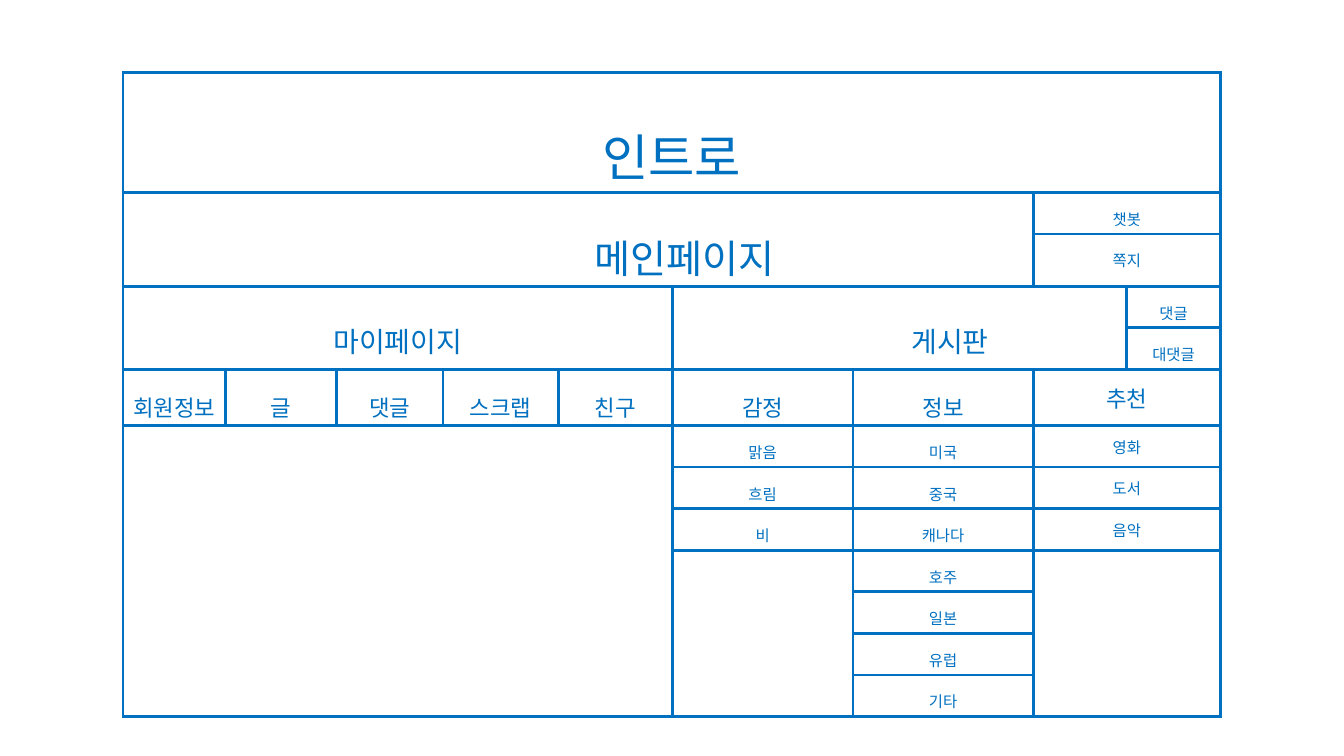
from dataclasses import dataclass

from lxml import etree
from pptx import Presentation, util as u
from pptx.dml.color import RGBColor
from pptx.enum import text
from pptx.oxml.ns import qn


@dataclass(frozen=True)
class Theme:
    font: str = "Noto Sans CJK KR"
    blue: str = "0070C0"
    white: str = "FFFFFF"
    border: float = 2.25
    intro: int = 36
    main: int = 28
    section: int = 20
    menu: int = 16
    item: int = 11
    spacing: float = 1.6


THEME = Theme()
COLUMNS = [2.59, 2.79, 2.69, 2.91, 2.88, 4.55, 4.55, 2.36, 2.36]
ROWS = [2.46] + [1.05] * 4 + [1.42] + [1.05] * 7
MENU_ROW = 5


def add_borders(cell):
    """Draw all four edges of a cell, ahead of its fill."""
    properties = cell._tc.get_or_add_tcPr()
    for index, edge in enumerate(("lnL", "lnR", "lnT", "lnB")):
        line = etree.Element(qn("a:" + edge), w=str(u.Pt(THEME.border)))
        fill = etree.SubElement(line, qn("a:solidFill"))
        etree.SubElement(fill, qn("a:srgbClr"), val=THEME.blue)
        properties.insert(index, line)


def style_cell(cell):
    cell.fill.solid()
    cell.fill.fore_color.rgb = RGBColor.from_string(THEME.white)
    cell.margin_left = cell.margin_right = u.Cm(0.16)
    cell.margin_top = cell.margin_bottom = u.Cm(0.04)
    add_borders(cell)


def write(cell, label, size, middle=False, spacing=THEME.spacing, indent=0):
    if middle:
        cell.vertical_anchor = text.MSO_ANCHOR.MIDDLE
    paragraph = cell.text_frame.paragraphs[0]
    paragraph.text = label
    paragraph.alignment = text.PP_ALIGN.CENTER
    paragraph.line_spacing = spacing
    font = paragraph.font
    font.size = u.Pt(size)
    font.color.rgb = RGBColor.from_string(THEME.blue)
    font.name = THEME.font
    # Paragraph indent, and the East Asian typeface for Korean glyphs
    properties = paragraph._p.pPr
    if indent:
        properties.set("marL", str(u.Cm(indent)))
        properties.set("indent", "0")
    latin = properties.find(".//" + qn("a:latin"))
    latin.addnext(etree.Element(qn("a:ea"), typeface=THEME.font))


def add_sitemap(slide, left, top, width, height):
    frame = slide.shapes.add_table(len(ROWS), len(COLUMNS), u.Cm(left),
                                   u.Cm(top), u.Cm(width), u.Cm(height))
    sitemap = frame.table
    sitemap.first_row = sitemap.horz_banding = False
    for column, share in zip(sitemap.columns, COLUMNS):
        column.width = u.Cm(width * share / sum(COLUMNS))
    for row, share in zip(sitemap.rows, ROWS):
        row.height = u.Cm(height * share / sum(ROWS))
    for cell in sitemap.iter_cells():
        style_cell(cell)

    def block(row, column, rows=1, columns=1):
        cell = sitemap.cell(row, column)
        if rows * columns > 1:
            cell.merge(sitemap.cell(row + rows - 1, column + columns - 1))
        return cell

    # Intro and main page
    write(block(0, 0, 1, 9), "인트로", THEME.intro)
    write(block(1, 0, 2, 7), "메인페이지", THEME.main, indent=5.36)
    for row, label in enumerate(["챗봇", "쪽지"], 1):
        write(block(row, 7, 1, 2), label, THEME.item)

    # My page and board
    write(block(3, 0, 2, 5), "마이페이지", THEME.section, middle=True)
    write(block(3, 5, 2, 3), "게시판", THEME.section, middle=True, indent=2.54)
    for row, label in enumerate(["댓글", "대댓글"], 3):
        write(block(row, 8), label, THEME.item)

    # My page menu
    for column, label in enumerate(["회원정보", "글", "댓글", "스크랩", "친구"]):
        write(block(MENU_ROW, column), label, THEME.menu)

    # Board menus with their items
    boards = [
        ("감정", ["맑음", "흐림", "비"]),
        ("정보", ["미국", "중국", "캐나다", "호주", "일본", "유럽", "기타"]),
        ("추천", ["영화", "도서", "음악"]),
    ]
    for column, (menu, items) in enumerate(boards, 5):
        last = menu == "추천"
        span = 2 if last else 1
        look = {"middle": last, "spacing": 1.0 if last else THEME.spacing}
        write(block(MENU_ROW, column, 1, span), menu, THEME.menu, **look)
        for row, item in enumerate(items, MENU_ROW + 1):
            write(block(row, column, 1, span), item, THEME.item, **look)
        empty_from = MENU_ROW + 1 + len(items)
        if empty_from < len(ROWS):
            block(empty_from, column, len(ROWS) - empty_from, span)

    # Empty area below my page
    block(MENU_ROW + 1, 0, len(ROWS) - MENU_ROW - 1, 5)


deck = Presentation()
deck.slide_width, deck.slide_height = u.Cm(33.87), u.Cm(19.05)
page = deck.slides.add_slide(deck.slide_layouts[6])
add_sitemap(page, left=3.1, top=1.83, width=27.66, height=15.39)
deck.save("out.pptx")
